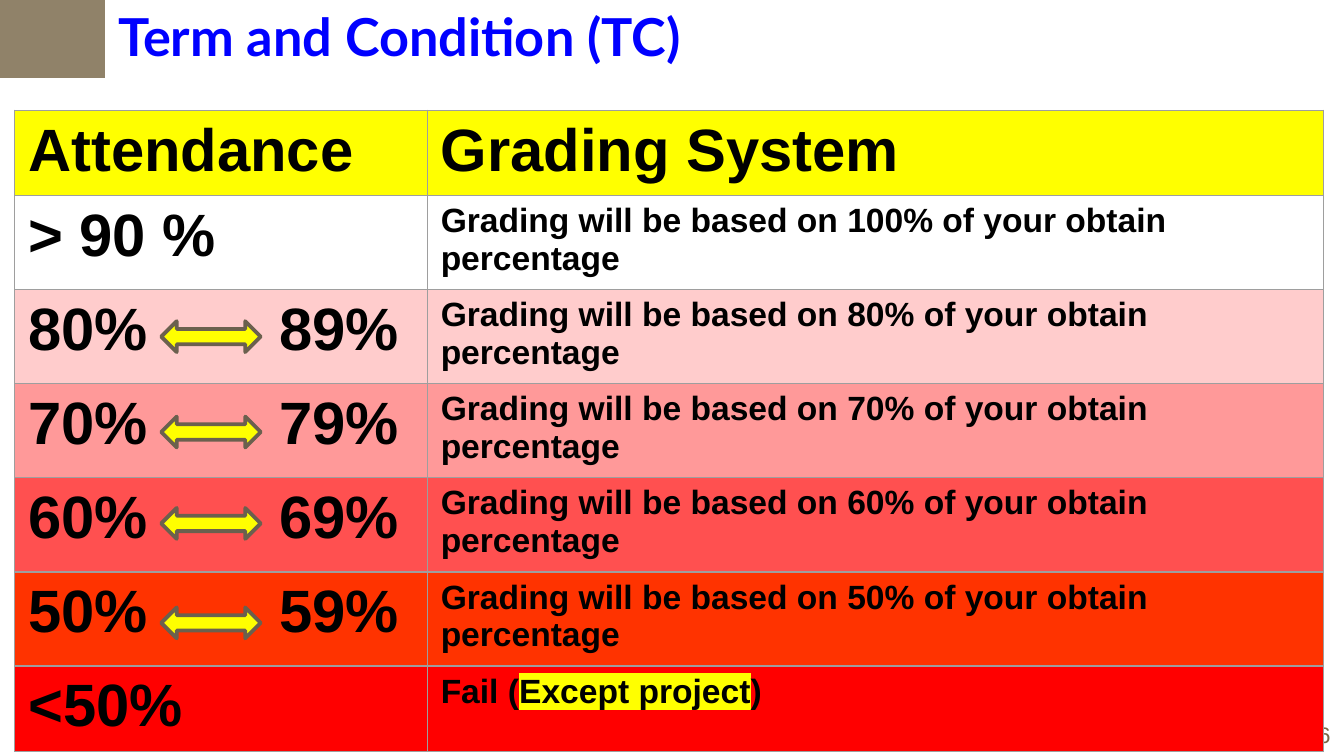
from typing import NamedTuple

from lxml.etree import SubElement
from pptx import Presentation
from pptx.dml.color import RGBColor
from pptx.enum.shapes import MSO_SHAPE as Shape
from pptx.enum.text import MSO_AUTO_SIZE as Fit
from pptx.oxml import parse_xml
from pptx.oxml.ns import nsdecls, qn
from pptx.util import Inches, Pt

BLACK, YELLOW = "000000", "FFFF00"
BIG, SMALL = 32, 18


class Part(NamedTuple):
    text: str
    mark: str = ""


class Grade(NamedTuple):
    range: str
    rule: list[Part]
    fill: str
    high: float = 0.7
    size: int = SMALL


def share(range: str, rate: int, fill: str) -> Grade:
    text = f"Grading will be based on {rate}% of your obtain percentage"
    return Grade(range, [Part(text)], fill)


GRADES = [
    Grade("Attendance", [Part("Grading System")], YELLOW, 0.63, BIG),
    share("> 90 %", 100, "FFFFFF"),
    share("80%\t89%", 80, "FFCCCC"),
    share("70%\t79%", 70, "FF9999"),
    share("60%\t69%", 60, "FF5050"),
    share("50%\t59%", 50, "FF3300"),
    Grade("<50%", [Part("Fail ("), Part("Except project", YELLOW), Part(")")],
          "FF0000", 0.63),
]
WIDTHS = [3.07, 6.67]
ARROWS = [2.39, 3.1, 3.78, 4.52]


def color(code: str) -> RGBColor:
    return RGBColor.from_string(code)


def paint(item, code: str) -> None:
    item.fill.solid()
    item.fill.fore_color.rgb = color(code)


def style(item, values: dict) -> None:
    for name, value in values.items():
        setattr(item, name, value)


def write(para, part: Part, size: int, code: str = BLACK,
          face: str = "Arial", bold: bool = True) -> None:
    run = para.add_run()
    run.text = part.text
    style(run.font, {"size": Pt(size), "name": face, "bold": bold})
    run.font.color.rgb = color(code)
    if part.mark:
        run.font.fill._xPr.find(qn("a:solidFill")).addnext(parse_xml(
            f'<a:highlight {nsdecls("a")}><a:srgbClr val="{part.mark}"/>'
            "</a:highlight>"))


def label(slide, box: tuple, text: str, **look) -> None:
    frame = slide.shapes.add_textbox(*map(Inches, box)).text_frame
    style(frame, {"word_wrap": False, "auto_size": Fit.SHAPE_TO_FIT_TEXT})
    write(frame.paragraphs[0], Part(text), **look)


def shape(slide, kind: Shape, box: tuple, fill: str, line: str = "") -> None:
    item = slide.shapes.add_shape(kind, *map(Inches, box))
    item.shadow.inherit = False
    paint(item, fill)
    if line:
        item.line.color.rgb = color(line)
        item.line.width = Pt(2)
    else:
        item.line.fill.background()


def border(cell) -> None:
    props = cell._tc.get_or_add_tcPr()
    for side in "LRTB":
        line = SubElement(props, qn(f"a:ln{side}"), w=str(Pt(0.75)))
        fill = SubElement(line, qn("a:solidFill"))
        SubElement(fill, qn("a:srgbClr"), val="9E9E9E")


def fill_cell(cell, parts: list[Part], size: int, code: str) -> None:
    border(cell)
    paint(cell, code)
    para = cell.text_frame.paragraphs[0]
    for part in parts:
        write(para, part, size)
    if "\t" in parts[0].text:
        tabs = SubElement(para._p.get_or_add_pPr(), qn("a:tabLst"))
        SubElement(tabs, qn("a:tab"), pos=str(Inches(1.87)), algn="l")


def grid(slide) -> None:
    high = sum(grade.high for grade in GRADES)
    box = map(Inches, (0.11, 0.82, sum(WIDTHS), high))
    table = slide.shapes.add_table(len(GRADES), len(WIDTHS), *box).table
    for col, width in zip(table.columns, WIDTHS):
        col.width = Inches(width)
    for row, grade in zip(table.rows, GRADES):
        row.height = Inches(grade.high)
        left, right = row.cells
        fill_cell(left, [Part(grade.range)], BIG, grade.fill)
        fill_cell(right, grade.rule, grade.size, grade.fill)


def main() -> None:
    deck = Presentation()
    style(deck, {"slide_width": Inches(10), "slide_height": Inches(10 * 9 / 16)})
    slide = deck.slides.add_slide(deck.slide_layouts[6])
    label(slide, (9.71, 5.32, 0.29, 0.3), "6", size=12, code="786745",
          bold=False)
    label(slide, (0.78, -0.02, 4.85, 0.57), "Term and Condition (TC)",
          size=28, code="0000FF", face="Lato")
    shape(slide, Shape.RECTANGLE, (0, -0.02, 0.78, 0.6), "908269")
    grid(slide)
    for top in ARROWS:
        shape(slide, Shape.LEFT_RIGHT_ARROW, (1.2, top, 0.74, 0.23), YELLOW,
              "6B604E")
    deck.save("out.pptx")


if __name__ == "__main__":
    main()
